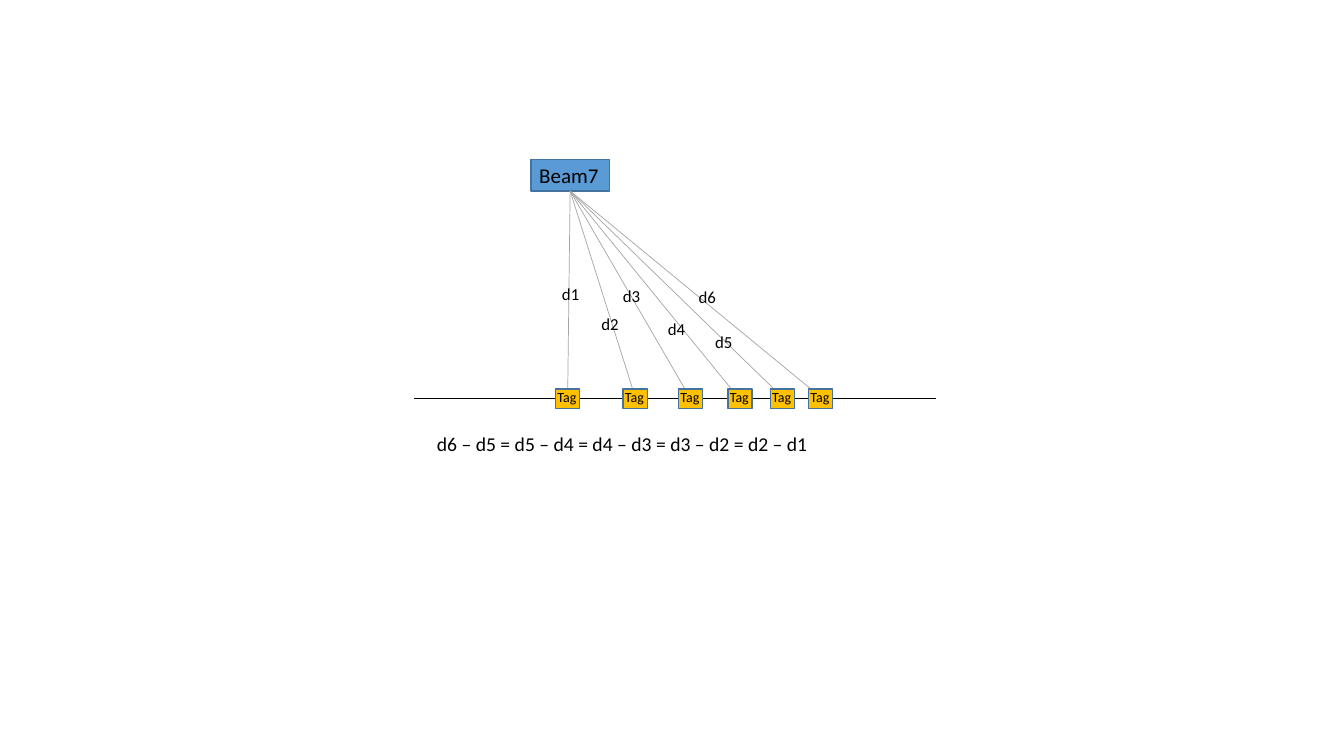
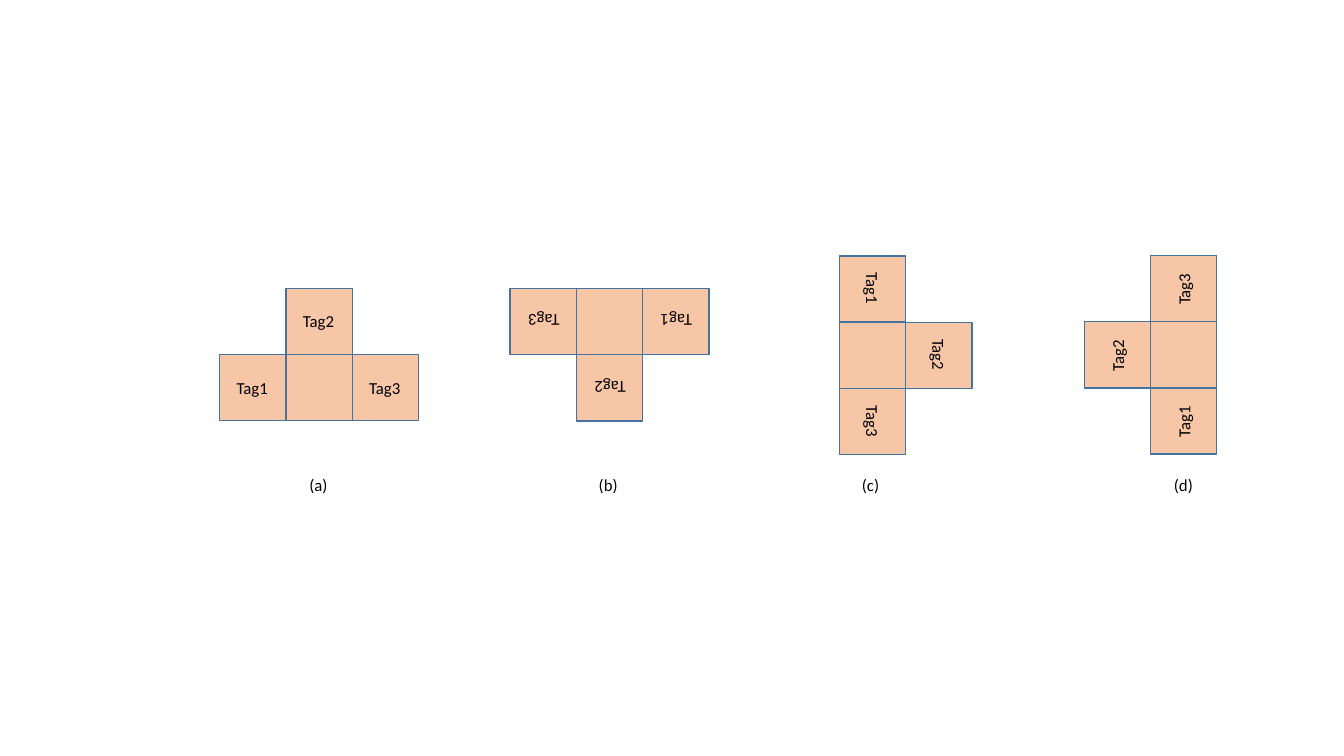
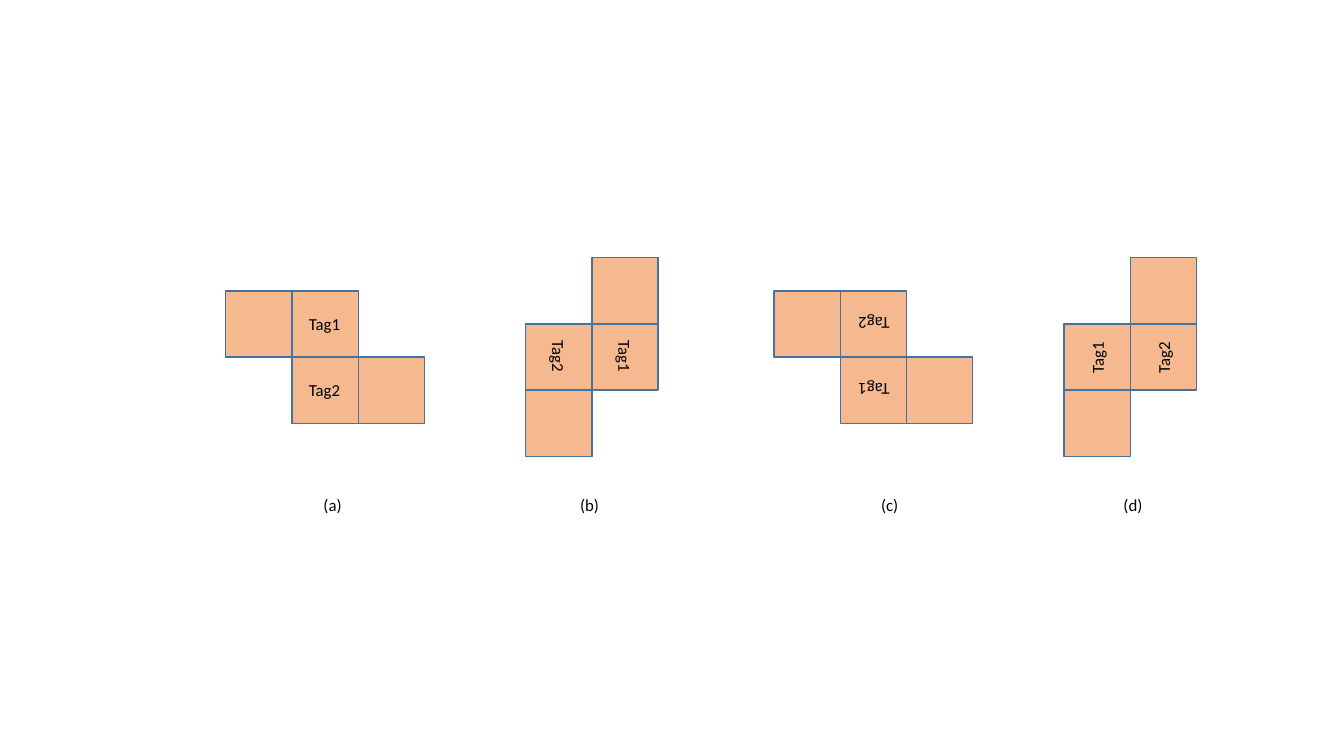
from lxml.etree import SubElement
from pptx import Presentation
from pptx.dml.color import RGBColor
from pptx.enum.shapes import MSO_CONNECTOR as Wire, MSO_SHAPE as Form
from pptx.enum.text import MSO_AUTO_SIZE as Fit
from pptx.oxml.ns import qn
from pptx.util import Inches, Pt

BLUE = RGBColor(0x5B, 0x9B, 0xD5)
EDGE = RGBColor(0x43, 0x73, 0x9E)
GOLD = RGBColor(0xFF, 0xC0, 0x00)
ORANGE = RGBColor(0xED, 0x7D, 0x31)
GREY = RGBColor(0xA5, 0xA5, 0xA5)
BLACK = RGBColor(0x00, 0x00, 0x00)
FONT = "Calibri"
UNIT = Inches(0.1)  # grid step: the slide is 133.33 columns by 75 rows
SIDE = 6.57  # side of a square cell, in grid steps


def box(shapes, x, y, wide, high, fill, turn=0, alpha=100):
    """Draw a rectangle centred on x, y, turned by quarter turns."""
    rect = shapes.add_shape(
        Form.RECTANGLE, round((x - wide / 2) * UNIT), round((y - high / 2) * UNIT),
        round(wide * UNIT), round(high * UNIT))
    rect.rotation = 90 * turn
    rect.shadow.inherit = False
    rect.fill.solid()
    rect.fill.fore_color.rgb = fill
    if alpha < 100:
        tint = rect._element.spPr.find(".//" + qn("a:srgbClr"))
        SubElement(tint, qn("a:alpha"), val=str(alpha * 1000))
    rect.line.color.rgb = EDGE
    rect.line.width = Pt(1)
    return rect


def label(shapes, text, x, y, wide, size=12, turn=0):
    """Write one line of text centred on x, y, turned by quarter turns."""
    high = size / 6 + 1
    note = shapes.add_textbox(
        round((x - wide / 2) * UNIT), round((y - high / 2) * UNIT),
        round(wide * UNIT), round(high * UNIT))
    note.rotation = 90 * turn
    frame = note.text_frame
    frame.text = text
    frame.word_wrap = False
    frame.auto_size = Fit.SHAPE_TO_FIT_TEXT
    font = frame.paragraphs[0].runs[0].font
    font.name = FONT
    font.size = Pt(size)
    font.color.rgb = BLACK


deck = Presentation()
deck.slide_width = Inches(13.33)
deck.slide_height = Inches(7.5)
blank = deck.slide_layouts[6]

# Slide 1: one beam, six tags on a line
shapes = deck.slides.add_slide(blank).shapes
beam = box(shapes, 56.55, 17.4, 7.8, 3.1, BLUE)
label(shapes, "Beam7", 56.5, 17.35, 8, 15)

tags = [56.3, 63, 68.5, 73.4, 77.6, 81.4]
ends = [56.3, 63, 68.4, 73.2, 77.6, 81.4]
axis = (41.05, 39.55, 92.8, 39.55, BLACK)
rays = [(56.55, 18.95, x, 39.4, GREY) for x in ends]
for left, top, right, low, color in [axis] + rays:
    line = shapes.add_connector(
        Wire.STRAIGHT, *(round(n * UNIT) for n in (left, top, right, low)))
    line.line.color.rgb = color
    line.line.width = Pt(0.5)
    SubElement(line._element.spPr, qn("a:effectLst"))
    if color == GREY:
        line.begin_connect(beam, 2)

for x in tags:
    group = shapes.add_group_shape().shapes
    box(group, x, 39.55, 2.4, 1.9, GOLD)
    label(group, "Tag", x + 0.45, 39.35, 4.9, 10)

spots = [(56.65, 29.2), (60.55, 32.15), (62.7, 29.35),
         (67.15, 32.6), (71.85, 33.9), (70.2, 29.5)]
for num, (x, y) in enumerate(spots, 1):
    label(shapes, f"d{num}", x, y, 3.8)
label(shapes, "d6 – d5 = d5 – d4 = d4 – d3 = d3 – d2 = d2 – d1",
      61.9, 44.05, 39.1, 14)

# Slides 2 and 3: a block of four cells in its four quarter turns
# Cells: text, column, row from the pivot. Views: pivot x, y, turn, caption x
tee = [("Tag1", -1, 0), ("", 0, 0), ("Tag3", 1, 0), ("Tag2", 0, -1)]
zed = [("", -1, -0.5), ("Tag1", 0, -0.5), ("Tag2", 0, 0.5), ("", 1, 0.5)]
pages = [
    (tee, 43, 48.1, [(31.65, 38.45, 0, 31.7), (60.45, 31.9, 2, 60.4),
                     (86.55, 35.25, 1, 86.5), (117.4, 35.2, 3, 117.45)]),
    (zed, 54, 50.1, [(32.25, 35.42, 0, 33.1), (58.7, 35.42, 1, 58.55),
                     (86.62, 35.42, 2, 88.4), (112.1, 35.42, 3, 112.45)]),
]
for cells, alpha, base, views in pages:
    shapes = deck.slides.add_slide(blank).shapes
    for mark, (x, y, turn, mid) in zip("abcd", views):
        group = shapes.add_group_shape().shapes
        names = []
        for text, col, row in cells:
            for _ in range(turn):
                col, row = -row, col
            spot = (x + col * SIDE, y + row * SIDE)
            box(group, *spot, SIDE, SIDE, ORANGE, turn, alpha)
            if text:
                names.append((text, *spot))
        for name in names:
            label(group, *name, 5.2, turn=turn)
        label(shapes, f"({mark})", mid, base, 4)

deck.save("out.pptx")
